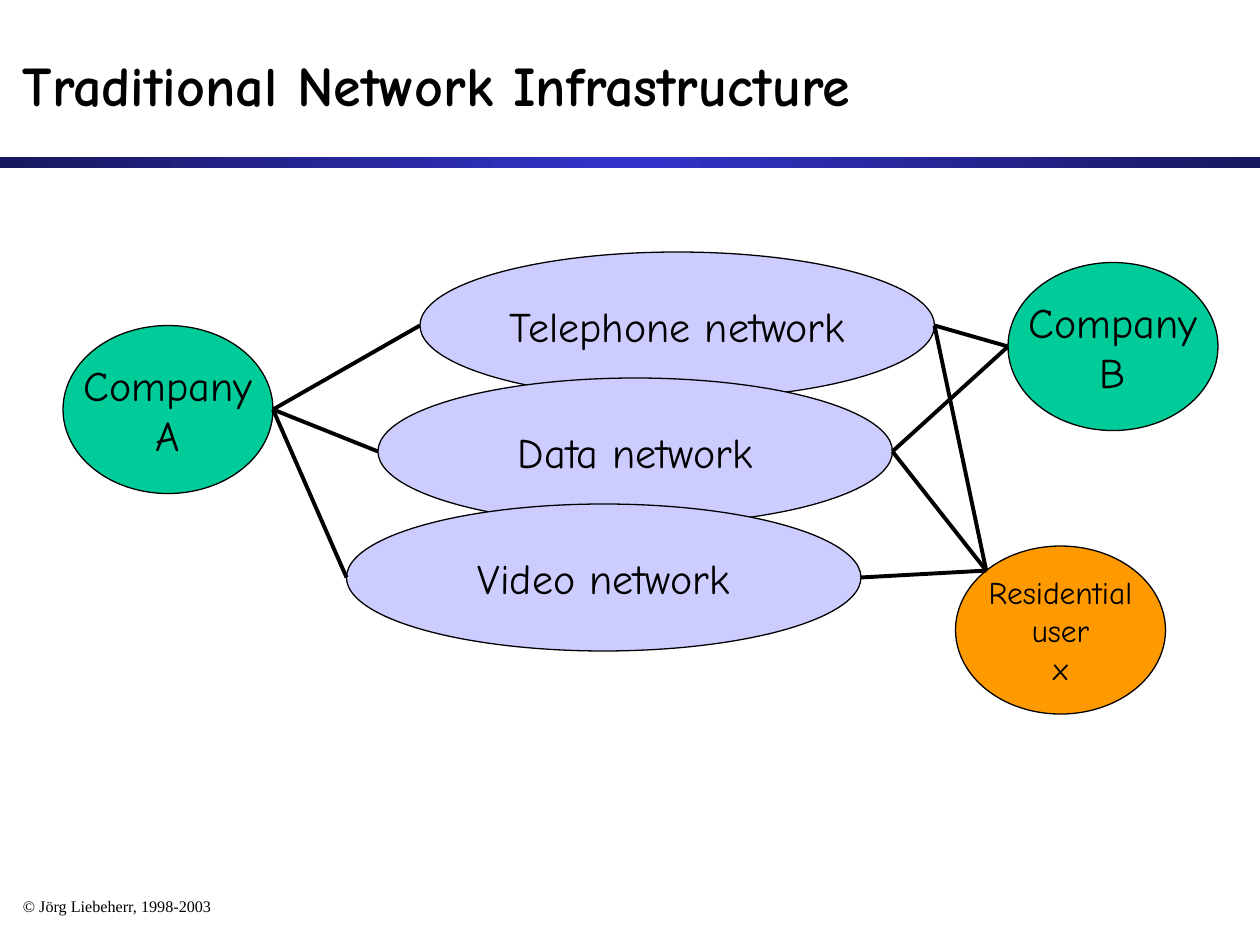
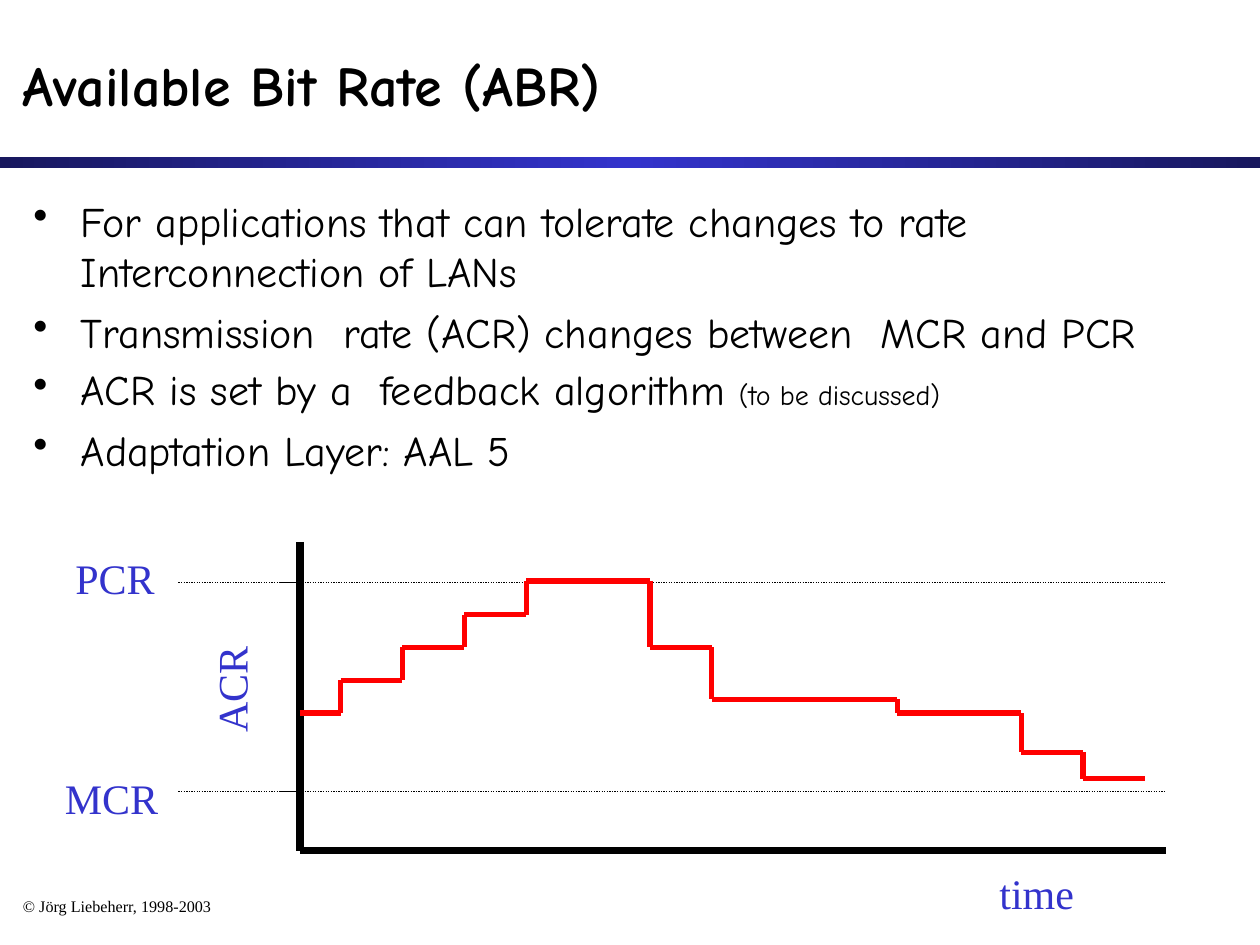
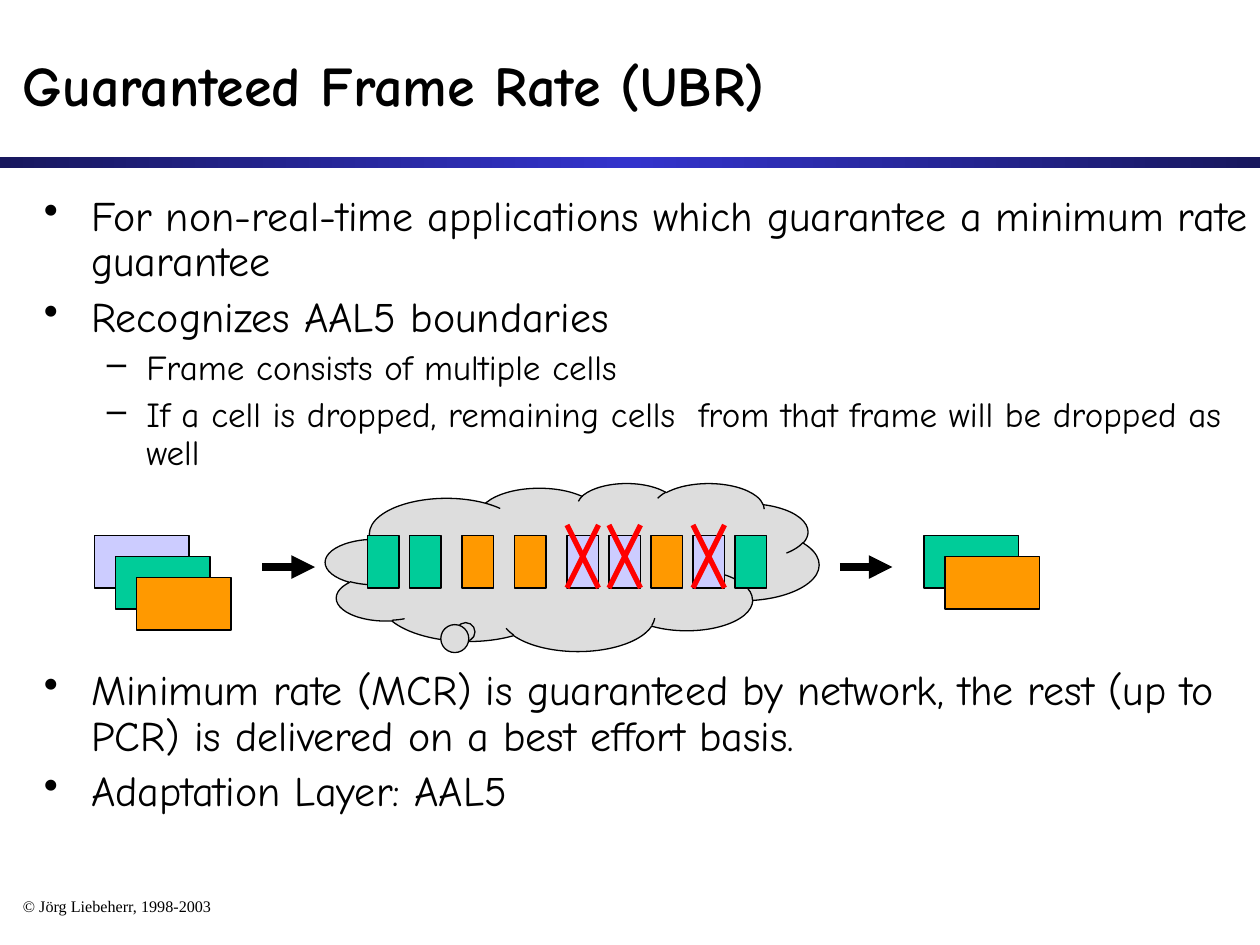
from copy import deepcopy
from dataclasses import dataclass
from itertools import pairwise

from lxml import etree
from pptx import Presentation
from pptx.dml import color
from pptx.enum import dml, shapes, text
from pptx.oxml import ns
from pptx.util import Pt

INK = {
    "black": "000000", "white": "FFFFFF", "green": "00CC99", "lilac": "CCCCFF",
    "orange": "FF9900", "gray": "DDDDDD", "red": "FF0000", "blue": "3333CC",
    "navy": "18185E",
}
COMIC, TIMES = "Comic Neue", "Times New Roman"
Kind = shapes.MSO_SHAPE
Point = tuple[float, float]


@dataclass(frozen=True)
class Box:
    x: float
    y: float
    w: float
    h: float

    @property
    def left(self) -> Point:
        return self.x, self.y + self.h / 2

    @property
    def right(self) -> Point:
        return self.x + self.w, self.y + self.h / 2

    @property
    def corner(self) -> Point:
        """Top left point on the rim of an ellipse."""
        cut = (1 - 0.5 ** 0.5) / 2
        return self.x + self.w * cut, self.y + self.h * cut

    def lengths(self) -> list[Pt]:
        return [Pt(v) for v in (self.x, self.y, self.w, self.h)]


@dataclass(frozen=True)
class Node:
    label: str
    box: Box
    fill: str
    size: float = 24


@dataclass(frozen=True)
class Item:
    words: str
    level: int = 0
    gap: float = 6
    aside: str = ""


# Bullet levels: mark, left margin, hanging indent, font size
LEVELS = [("•", 27, -27, 24), ("–", 58.5, -22.5, 20)]


# Shared drawing tools
def rgb(name: str) -> color.RGBColor:
    return color.RGBColor.from_string(INK[name])


def style(para, size: float, face: str = COMIC, ink: str = "black",
          bold: bool = False) -> None:
    font = para.font
    font.size, font.name, font.bold = Pt(size), face, bold
    font.color.rgb = rgb(ink)


def add_text(slide, words: str, box: Box, size: float, face: str = TIMES,
             ink: str = "black", bold: bool = False, wrap: bool = True,
             turn: float = 0):
    shape = slide.shapes.add_textbox(*box.lengths())
    shape.rotation = turn
    frame = shape.text_frame
    frame.word_wrap = wrap
    para = frame.paragraphs[0]
    para.text = words
    style(para, size, face, ink, bold)
    return frame


def add_shape(slide, kind: Kind, box: Box, fill: str):
    shape = slide.shapes.add_shape(kind, *box.lengths())
    shape.shadow.inherit = False
    shape.fill.solid()
    shape.fill.fore_color.rgb = rgb(fill)
    shape.line.color.rgb = rgb("black")
    shape.line.width = Pt(0.75)
    return shape


def add_line(slide, start: Point, end: Point, width: float, ink: str = "black",
             dots: bool = False, arrow: bool = False) -> None:
    line = slide.shapes.add_connector(
        shapes.MSO_CONNECTOR.STRAIGHT, *[Pt(v) for v in (*start, *end)])
    line.line.color.rgb = rgb(ink)
    line.line.width = Pt(width)
    if dots:
        line.line.dash_style = dml.MSO_LINE.ROUND_DOT
    props = line._element.spPr
    if arrow:
        tail = etree.SubElement(props.find(ns.qn("a:ln")), ns.qn("a:tailEnd"))
        tail.set("type", "triangle")
    etree.SubElement(props, ns.qn("a:effectLst"))


def add_list(slide, box: Box, items: list[Item], spacing: float = 1) -> None:
    frame = slide.shapes.add_textbox(*box.lengths()).text_frame
    frame.word_wrap = True
    for i, item in enumerate(items):
        para = frame.add_paragraph() if i else frame.paragraphs[0]
        mark, margin, indent, size = LEVELS[item.level]
        para.text = item.words
        props = para._p.get_or_add_pPr()
        props.set("marL", str(Pt(margin)))
        props.set("indent", str(Pt(indent)))
        tint = etree.SubElement(props, ns.qn("a:buClr"))
        etree.SubElement(tint, ns.qn("a:srgbClr")).set("val", INK["black"])
        etree.SubElement(props, ns.qn("a:buChar")).set("char", mark)
        para.line_spacing = spacing
        if i:
            para.space_before = Pt(item.gap)
        style(para, size)
        if item.aside:
            run = para.add_run()
            run.text = item.aside
            run.font.size = Pt(16)


def add_slide(deck, title: str):
    slide = deck.slides.add_slide(deck.slide_layouts[6])
    slide.background.fill.solid()
    slide.background.fill.fore_color.rgb = rgb("white")
    # Band under the title
    band = add_shape(slide, Kind.RECTANGLE, Box(0, 90, 720, 6), "navy")
    band.line.fill.background()
    band.fill.gradient()
    band.fill.gradient_angle = 0
    stops = band._element.spPr.find(".//" + ns.qn("a:gsLst"))
    stops.append(deepcopy(stops[0]))
    tints = zip(band.fill.gradient_stops, (0, 0.5, 1), ("navy", "blue", "navy"))
    for stop, place, ink in tints:
        stop.position = place
        stop.color.rgb = rgb(ink)
    # Footer and title
    foot = add_text(slide, "© Jörg Liebeherr, 1998-2003", Box(6, 510, 204, 18), 9.2)
    foot.paragraphs[0].line_spacing = 0.9
    head = add_text(slide, title, Box(6, 12, 708, 72), 32, COMIC, bold=True)
    head.vertical_anchor = text.MSO_ANCHOR.MIDDLE
    return slide


# Slide 1: separate networks
def draw_nets(deck) -> None:
    slide = add_slide(deck, "Traditional Network Infrastructure")
    firm_a, firm_b = Box(36, 186, 120, 96), Box(576, 150, 120, 96)
    user = Box(546, 312, 120, 96)
    phone, data, video = [Box(x, 144 + 72 * i, 294, 84)
                          for i, x in enumerate((240, 216, 198))]
    nodes = [
        Node("Company\nA", firm_a, "green"),
        Node("Company\nB", firm_b, "green"),
        Node("Telephone network", phone, "lilac"),
        Node("Data network", data, "lilac"),
        Node("Residential\nuser\nx", user, "orange", 18),
        Node("Video network", video, "lilac"),
    ]
    for node in nodes:
        frame = add_shape(slide, Kind.OVAL, node.box, node.fill).text_frame
        frame.word_wrap = False
        frame.vertical_anchor = text.MSO_ANCHOR.MIDDLE
        frame.text = node.label
        for para in frame.paragraphs:
            para.alignment = text.PP_ALIGN.CENTER
            style(para, node.size)
    links = [(net.left, firm_a.right) for net in (phone, data, video)]
    links += [(firm_b.left, net.right) for net in (phone, data)]
    links += [(user.corner, net.right) for net in (phone, data, video)]
    for start, end in links:
        add_line(slide, start, end, 2.25)


# Slide 2: cell rate over time
def draw_rate(deck) -> None:
    slide = add_slide(deck, "Available Bit Rate (ABR)")
    add_list(slide, Box(12, 108, 702, 384), [
        Item("For applications that can tolerate changes to rate\v"
             "Interconnection of LANs"),
        Item("Transmission  rate (ACR) changes between  MCR and PCR"),
        Item("ACR is set by a  feedback algorithm ", gap=4,
             aside="(to be discussed)"),
        Item("Adaptation Layer: AAL 5"),
    ])
    # Axes
    axis, base, end = 171.2, 486, 666
    add_line(slide, (axis, 309.6), (axis, base), 4.5)
    add_line(slide, (axis, base), (end, base), 4.5)
    # Limits
    limits = [("MCR", Box(30, 438, 68, 36), 452.3),
              ("PCR", Box(36, 312, 60, 36), 332.7)]
    for name, box, y in limits:
        add_text(slide, name, box, 24, ink="blue", wrap=False)
        add_line(slide, (axis, y), (axis - 12, y), 0.75)
        add_line(slide, (102, y), (end, y), 0.75, dots=True)
    # Rate steps
    rates = [407.5, 388.8, 370, 351.2, 332, 332, 370, 399.6, 399.6, 399.6,
             407.5, 407.5, 429.8, 445]
    times = [axis] + [194.6 + 35.36 * i for i in range(len(rates))]
    for (start, stop), y in zip(pairwise(times), rates):
        add_line(slide, (start, y), (stop, y), 3, "red")
    for x, (old, new) in zip(times[1:], pairwise(rates)):
        if old != new:
            add_line(slide, (x, old), (x, new), 3, "red")
    # Axis names
    add_text(slide, "time", Box(564, 492, 114, 36), 24, ink="blue")
    add_text(slide, "ACR", Box(75, 350.6, 114, 36), 24, ink="blue", turn=270)


# Slide 3: frames and dropped cells
def draw_stack(slide, x: float, fills: list[str]) -> None:
    for i, fill in enumerate(fills):
        box = Box(x + 12 * i, 306 + 12 * i, 54, 30)
        add_shape(slide, Kind.RECTANGLE, box, fill)


def draw_frames(deck) -> None:
    slide = add_slide(deck, "Guaranteed Frame Rate (UBR)")
    add_list(slide, Box(18, 108, 702, 168), [
        Item("For non-real-time applications which guarantee a minimum rate "
             "guarantee"),
        Item("Recognizes AAL5 boundaries"),
        Item("Frame consists of multiple cells", 1, 5),
        Item("If a cell is dropped, remaining cells  from that frame will be "
             "dropped as well", 1, 5),
    ], 0.9)
    add_list(slide, Box(18, 379, 702, 113), [
        Item("Minimum rate (MCR) is guaranteed by network, the rest (up to PCR) "
             "is delivered on a best effort basis."),
        Item("Adaptation Layer: AAL5"),
    ], 0.9)
    draw_stack(slide, 54, ["lilac", "green", "orange"])
    cloud = add_shape(slide, Kind.CLOUD_CALLOUT, Box(186, 276, 282, 96), "gray")
    cloud.adjustments[0], cloud.adjustments[1] = -0.21, 0.376
    # Cells in the cloud: every lilac one is dropped
    cells = [(210, "green"), (234, "green"), (264, "orange"), (294, "orange"),
             (324, "lilac"), (348, "lilac"), (372, "orange"), (396, "lilac"),
             (420, "green")]
    for x, fill in cells:
        add_shape(slide, Kind.RECTANGLE, Box(x, 306, 18, 30), fill)
        if fill == "lilac":
            add_line(slide, (x, 300), (x + 18, 336), 3, "red")
            add_line(slide, (x + 18, 300), (x, 336), 3, "red")
    draw_stack(slide, 528, ["green", "orange"])
    for x in (150, 480):
        add_line(slide, (x, 324), (x + 30, 324), 4.5, arrow=True)


def main() -> None:
    deck = Presentation()
    deck.slide_width, deck.slide_height = Pt(720), Pt(540)
    for draw in (draw_nets, draw_rate, draw_frames):
        draw(deck)
    deck.save("out.pptx")


if __name__ == "__main__":
    main()
